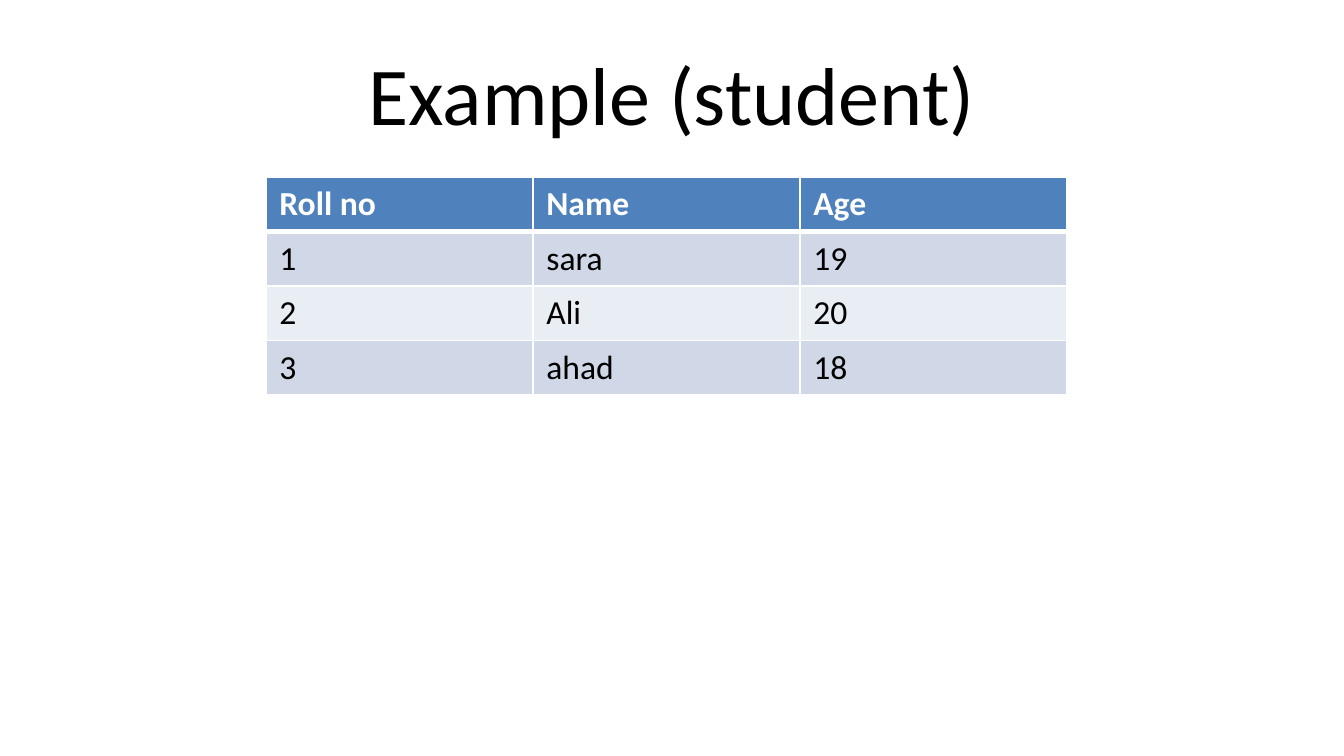
import pptx
import pptx.dml.color
import pptx.enum.text
import pptx.oxml.ns
import pptx.util
from lxml import etree

EMU_PER_PX = 914400 / 134.4
TITLE_ONLY = 5
COLORS = {
    "white": "FFFFFF",
    "black": "000000",
    "header": "4F81BD",
    "odd": "D0D8E8",
    "even": "E9EDF4",
}
STUDENTS = [
    ("Roll no", "Name", "Age"),
    ("1", "sara", "19"),
    ("2", "Ali", "20"),
    ("3", "ahad", "18"),
]


def px(length):
    return pptx.util.Emu(round(length * EMU_PER_PX))


def color(name):
    return pptx.dml.color.RGBColor.from_string(COLORS[name])


class SlideBuilder:
    font = "Calibri"
    title_size = 44
    table_size = 18
    thin = 1
    thick = 3

    def __init__(self, presentation):
        self.slide = presentation.slides.add_slide(presentation.slide_layouts[TITLE_ONLY])

    def run(self, paragraph, text, size, color_name, bold=False):
        run = paragraph.add_run()
        run.text = text
        run.font.name = self.font
        run.font.size = pptx.util.Pt(size)
        run.font.bold = bold
        run.font.color.rgb = color(color_name)

    def title(self, text, left, top, width, height):
        shape = self.slide.shapes.title
        shape.left, shape.top = px(left), px(top)
        shape.width, shape.height = px(width), px(height)
        frame = shape.text_frame
        frame.vertical_anchor = pptx.enum.text.MSO_ANCHOR.MIDDLE
        paragraph = frame.paragraphs[0]
        paragraph.alignment = pptx.enum.text.PP_ALIGN.CENTER
        self.run(paragraph, text, self.title_size, "black")

    def borders(self, cell, widths):
        properties = cell._tc.get_or_add_tcPr()
        for side, width in widths.items():
            line = etree.SubElement(properties, pptx.oxml.ns.qn(f"a:ln{side}"), w=str(pptx.util.Pt(width)))
            fill = etree.SubElement(line, pptx.oxml.ns.qn("a:solidFill"))
            etree.SubElement(fill, pptx.oxml.ns.qn("a:srgbClr"), val=COLORS["white"])

    def table(self, rows, left, top, width, height):
        table = self.slide.shapes.add_table(
            len(rows), len(rows[0]), px(left), px(top), px(width), px(height)
        ).table
        for row_index, texts in enumerate(rows):
            header = row_index == 0
            fill_name = "header" if header else "odd" if row_index % 2 else "even"
            widths = {
                "L": self.thin,
                "R": self.thin,
                "T": self.thick if row_index == 1 else self.thin,
                "B": self.thick if header else self.thin,
            }
            for column_index, text in enumerate(texts):
                cell = table.cell(row_index, column_index)
                self.borders(cell, widths)
                cell.fill.solid()
                cell.fill.fore_color.rgb = color(fill_name)
                paragraph = cell.text_frame.paragraphs[0]
                self.run(paragraph, text, self.table_size, "white" if header else "black", header)


def main():
    presentation = pptx.Presentation()
    presentation.slide_width = px(1344)
    presentation.slide_height = px(756)
    builder = SlideBuilder(presentation)
    builder.title("Example (student)", 67, 30, 1210, 126)
    builder.table(STUDENTS, 266, 177, 801, 218)
    presentation.save("out.pptx")


if __name__ == "__main__":
    main()
